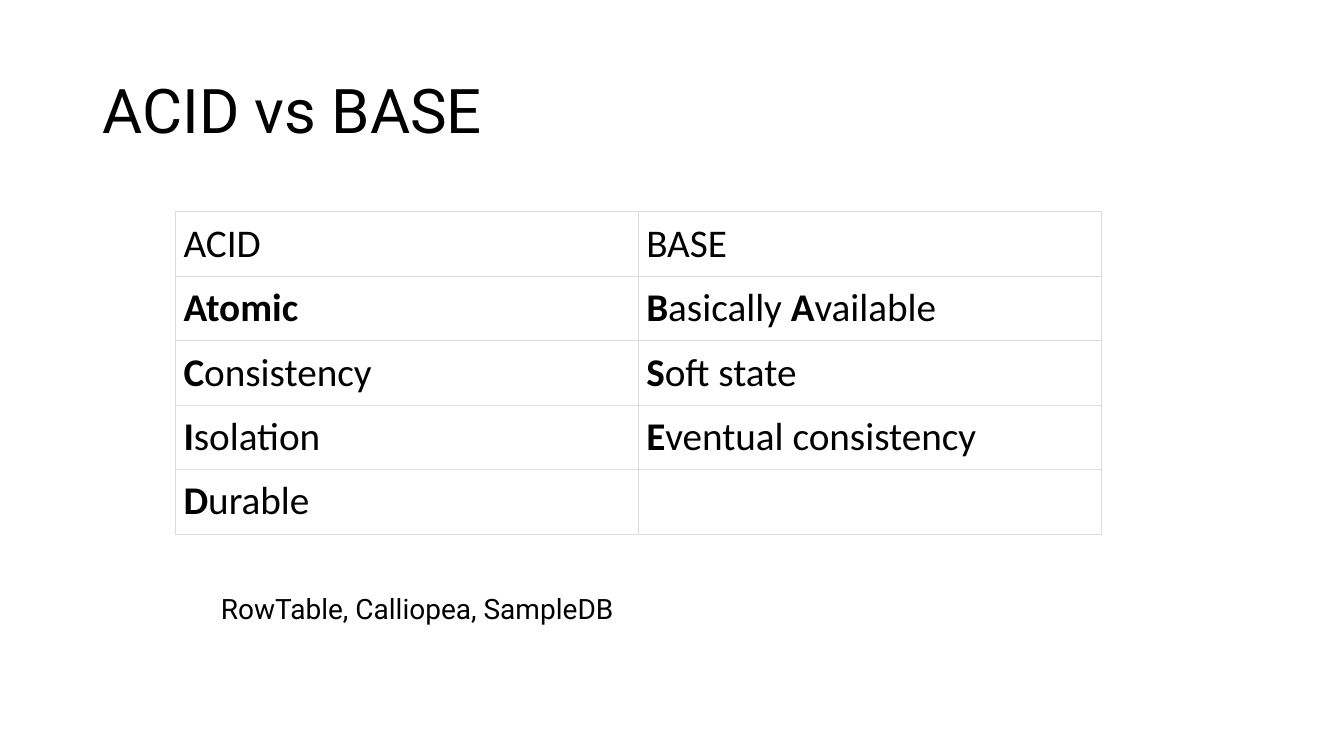
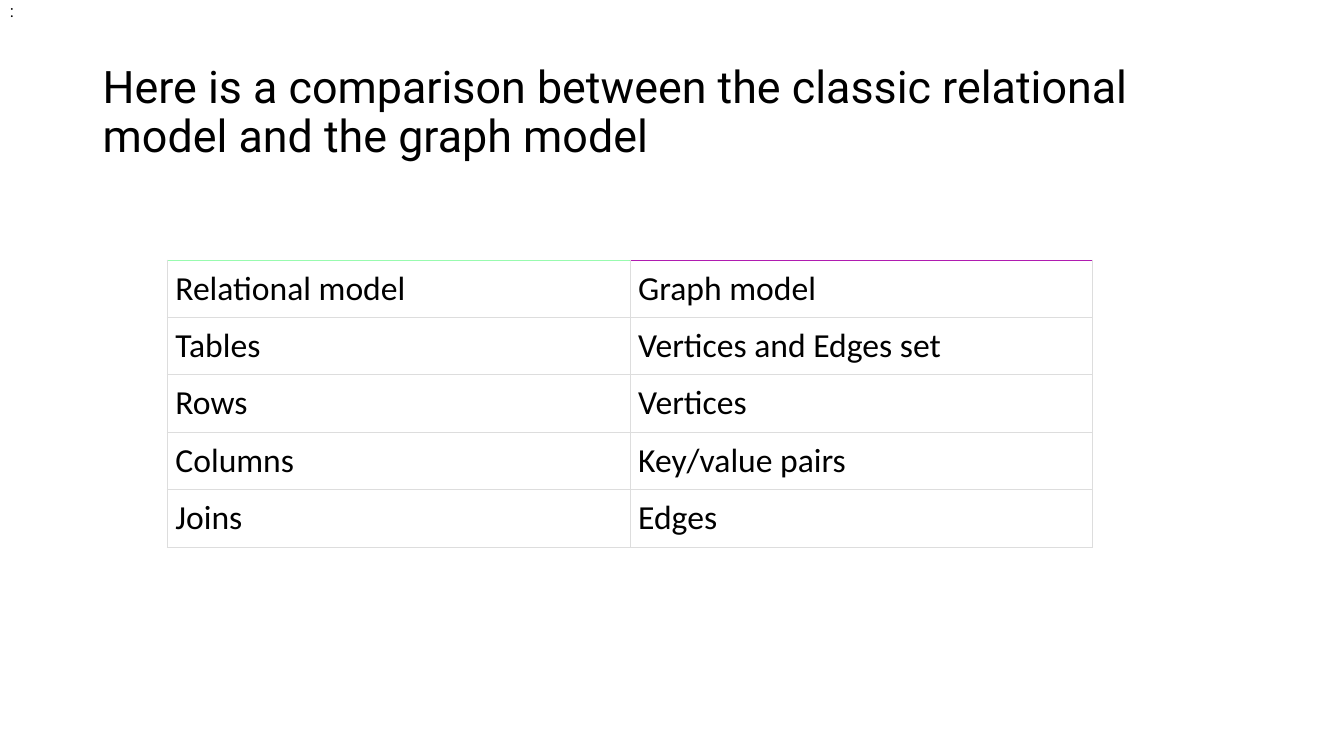
from lxml import etree
from pptx import Presentation
from pptx import util as u
from pptx.dml.color import RGBColor
from pptx.enum import shapes, text
from pptx.oxml.ns import qn

PX = 9144
BLACK = RGBColor(0x00, 0x00, 0x00)
WHITE = RGBColor(0xFF, 0xFF, 0xFF)
GREY = RGBColor(0xDD, 0xDD, 0xDD)
GREEN = RGBColor(0x98, 0xFB, 0xAF)
PURPLE = RGBColor(0xB0, 0x1C, 0xB0)

HEADING_FONT = "Roboto"
TABLE_FONT = "Calibri"
TITLE_BOX = (92, 40, 1150, 145)
CELL_PAD = 8
COL_W = 459

ACID_ROWS = [
    ("ACID", "BASE"),
    ("*Atomic*", "*B*asically *A*vailable"),
    ("*C*onsistency", "*S*oft state"),
    ("*I*solation", "*E*ventual consistency"),
    ("*D*urable", ""),
]
GRAPH_ROWS = [
    ("Relational model", "Graph model"),
    ("Tables", "Vertices and Edges set"),
    ("Rows", "Vertices"),
    ("Columns", "Key/value pairs"),
    ("Joins", "Edges"),
]


def px(n):
    return u.Emu(n * PX)


def set_attrs(obj, values):
    for name, value in values.items():
        setattr(obj, name, value)


def set_insets(obj, left, top, right, bottom):
    set_attrs(obj, {"margin_left": px(left), "margin_top": px(top),
                    "margin_right": px(right), "margin_bottom": px(bottom)})


def write(p, words, size, font):
    for i, part in enumerate(words.split("*")):
        if part:
            r = p.add_run()
            r.text = part
            set_attrs(r.font, {"size": u.Pt(size), "name": font, "bold": i % 2 == 1})
            r.font.color.rgb = BLACK


def add_label(s, box, words, size, insets=(10, 5, 10, 5), spacing=None, fill=None, wrap=True):
    sp = s.shapes.add_shape(shapes.MSO_SHAPE.RECTANGLE, *map(px, box)) if fill \
        else s.shapes.add_textbox(*map(px, box))
    if fill:
        sp.shadow.inherit = False
        sp.fill.solid()
        sp.fill.fore_color.rgb = fill
        sp.line.fill.background()
    tf = sp.text_frame
    set_attrs(tf, {"word_wrap": wrap, "vertical_anchor": text.MSO_ANCHOR.MIDDLE})
    set_insets(tf, *insets)
    p = tf.paragraphs[0]
    set_attrs(p, {"alignment": text.PP_ALIGN.LEFT, "line_spacing": spacing})
    write(p, words, size, HEADING_FONT)


def set_borders(cell, top):
    tc_pr = cell._tc.get_or_add_tcPr()
    sides = {"a:lnL": GREY, "a:lnR": GREY, "a:lnT": top, "a:lnB": GREY}
    for i, (tag, color) in enumerate(sides.items()):
        ln = etree.Element(qn(tag), w=str(u.Pt(0.75)))
        fill = etree.SubElement(ln, qn("a:solidFill"))
        etree.SubElement(fill, qn("a:srgbClr"), val=str(color))
        tc_pr.insert(i, ln)


def add_grid(s, left, top, row_h, rows, size, top_colors=(GREY, GREY),
             head_anchor=text.MSO_ANCHOR.TOP):
    box = (left, top, COL_W * 2, row_h * len(rows))
    table = s.shapes.add_table(len(rows), 2, *map(px, box)).table
    set_attrs(table, {"first_row": False, "horz_banding": False})
    for col in table.columns:
        col.width = px(COL_W)
    for i, row in enumerate(rows):
        table.rows[i].height = px(row_h)
        for j, words in enumerate(row):
            cell = table.cell(i, j)
            set_insets(cell, *[CELL_PAD] * 4)
            cell.vertical_anchor = text.MSO_ANCHOR.TOP if i else head_anchor
            set_borders(cell, GREY if i else top_colors[j])
            cell.fill.solid()
            cell.fill.fore_color.rgb = WHITE
            write(cell.text_frame.paragraphs[0], words, size, TABLE_FONT)


def add_titled_slide(prs, title, size):
    s = prs.slides.add_slide(prs.slide_layouts[6])
    s.background.fill.solid()
    s.background.fill.fore_color.rgb = WHITE
    add_label(s, TITLE_BOX, title, size, spacing=0.9)
    return s


def acid_slide(prs):
    s = add_titled_slide(prs, "ACID vs BASE", 44)
    add_grid(s, 174, 210, 64, ACID_ROWS, 28)
    add_label(s, (219, 567, 427, 66), "RowTable, Calliopea, SampleDB", 20,
              insets=(0, 20, 0, 12), fill=WHITE)


def graph_slide(prs):
    s = add_titled_slide(
        prs, "Here is a comparison between the classic relational model and the graph model", 32)
    add_grid(s, 166, 258, 57, GRAPH_ROWS, 24, (GREEN, PURPLE), text.MSO_ANCHOR.BOTTOM)
    add_label(s, (0, 0, 25, 22), ":", 12, insets=(10, 0, 10, 0), wrap=False)


def main():
    prs = Presentation()
    set_attrs(prs, {"slide_width": px(1333), "slide_height": px(750)})
    acid_slide(prs)
    graph_slide(prs)
    prs.save("out.pptx")


if __name__ == "__main__":
    main()
